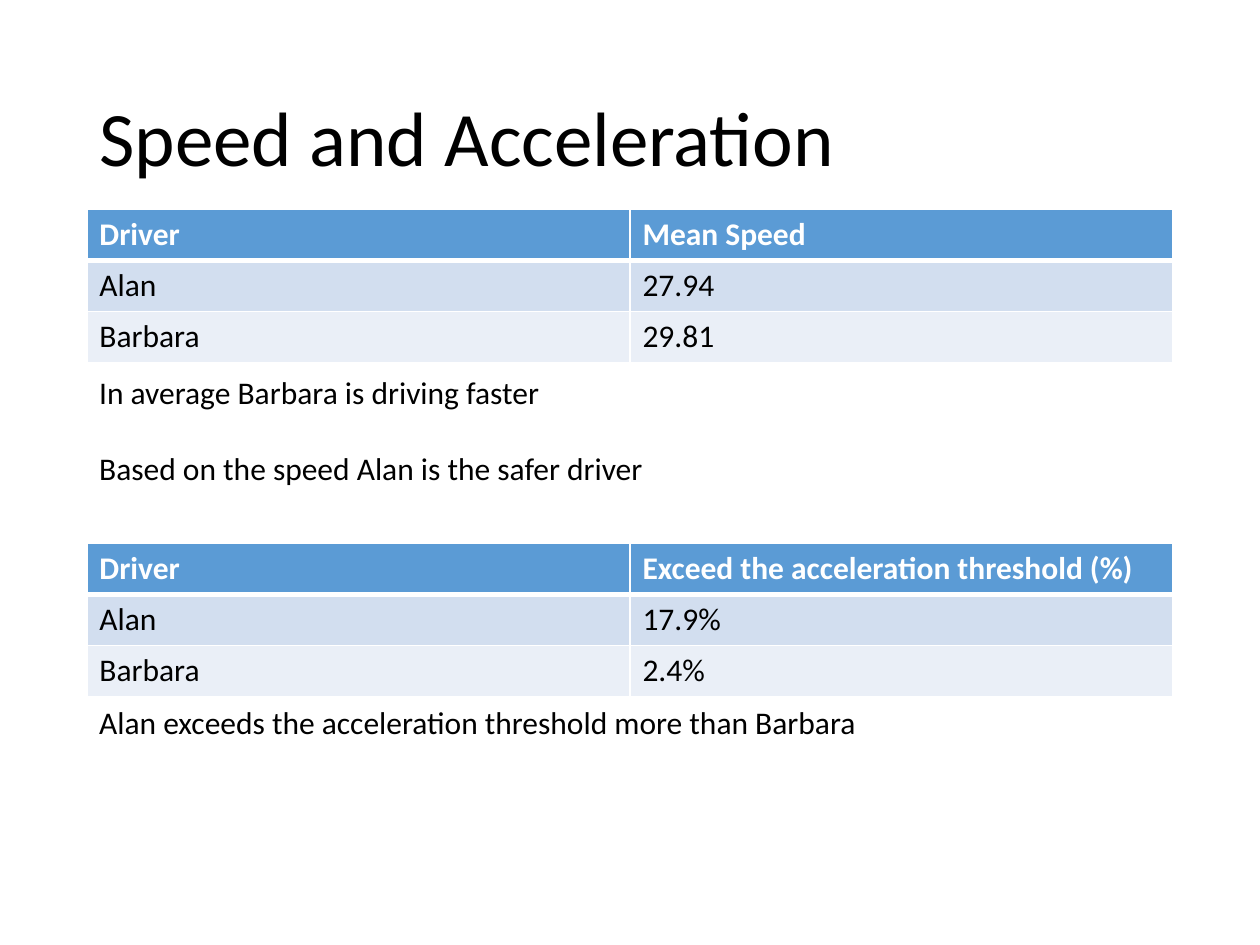
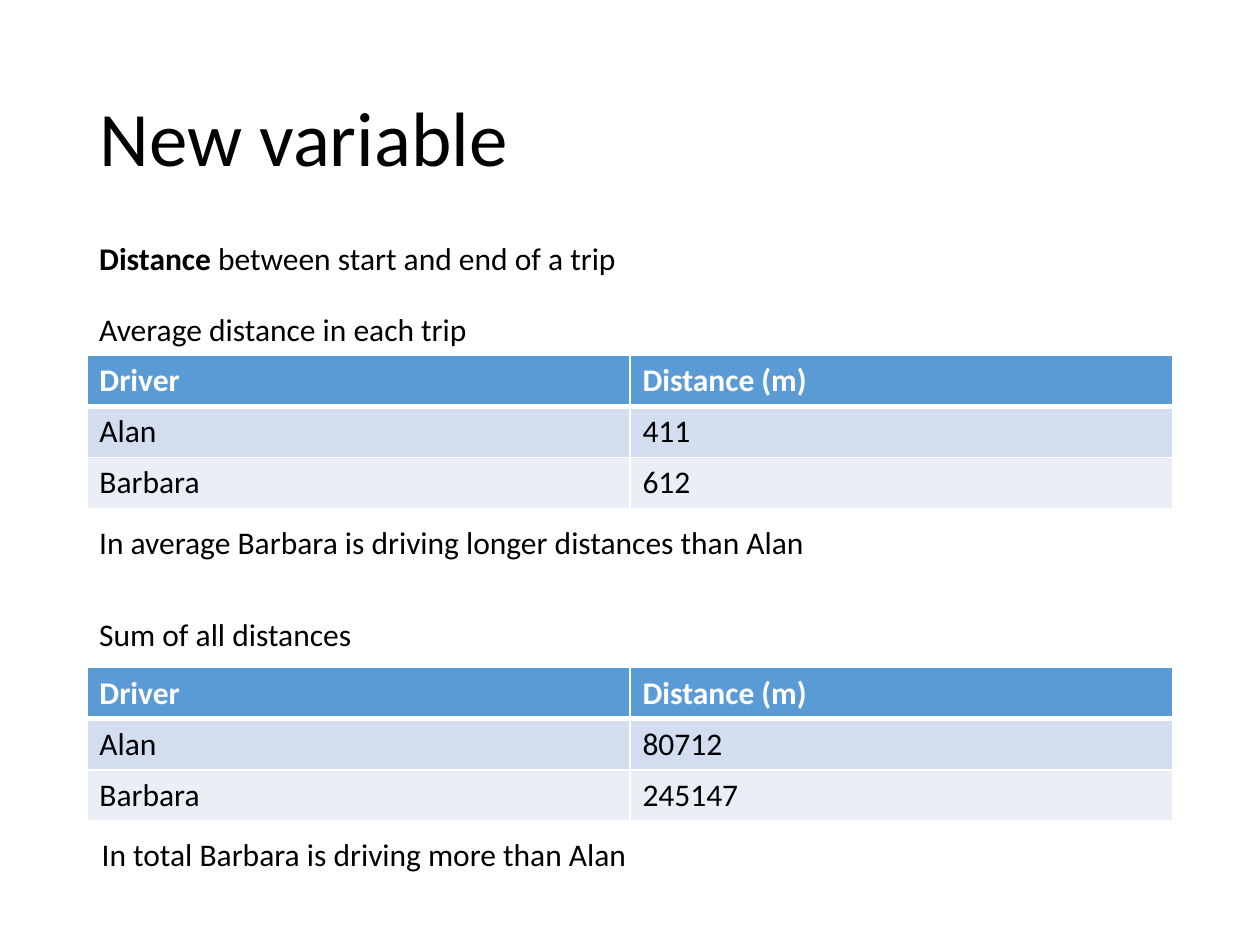
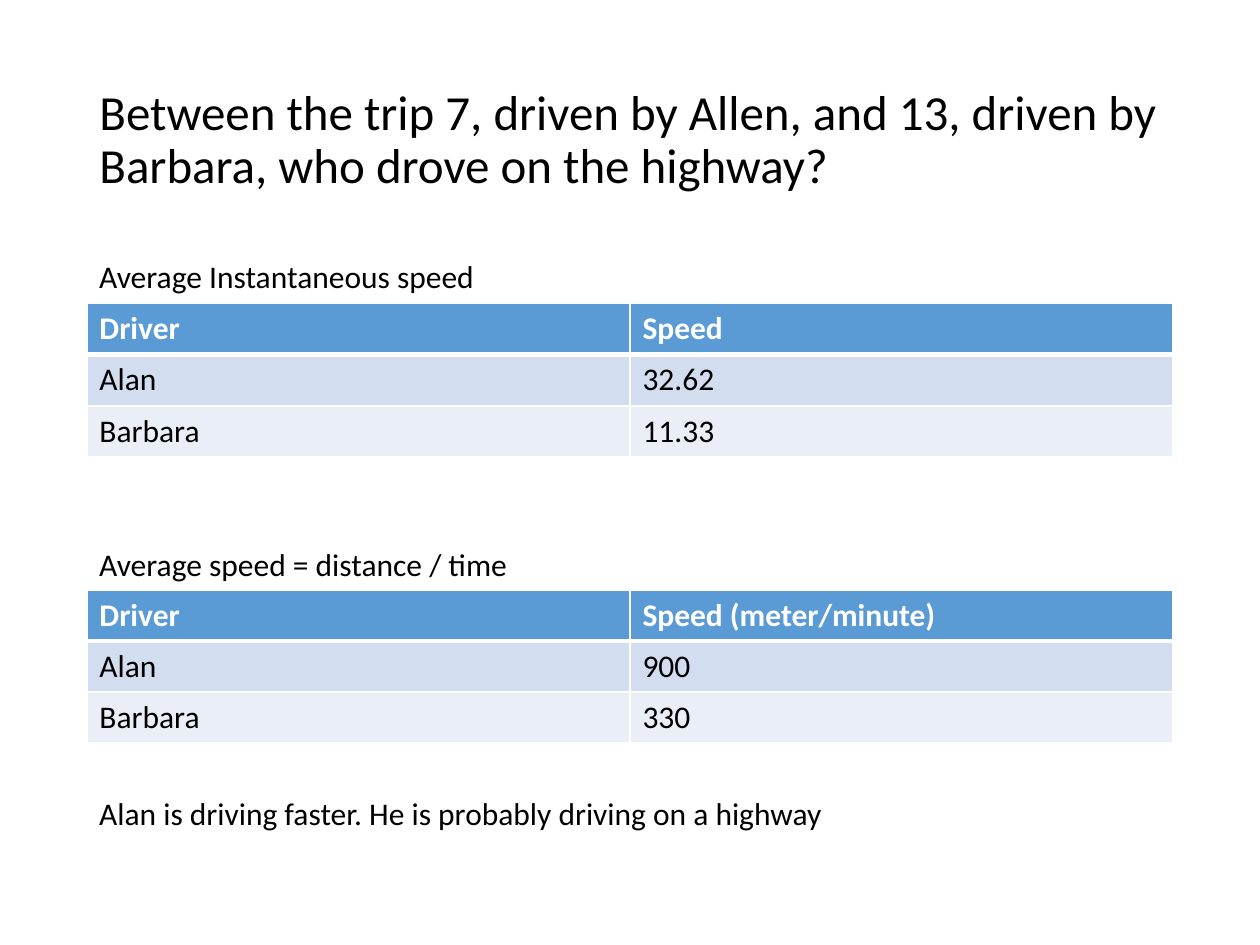
from lxml.etree import SubElement
from pptx import Presentation
from pptx.dml.color import RGBColor
from pptx.enum.text import MSO_ANCHOR as Anchor, MSO_AUTO_SIZE as AutoSize, PP_ALIGN as Align
from pptx.oxml.ns import qn
from pptx.util import Cm, Pt

COLORS = {
    "text": "000000",
    "white": "FFFFFF",
    "header": "5B9BD5",
    "odd_row": "D2DEEF",
    "even_row": "EAEFF7",
}
TITLE_ONLY = 5


class Deck:
    """Holds the shared style and the current slide."""

    font = "Calibri"
    body_size = 18
    left, width = 1.75, 21.9
    row_height = 1.03

    def __init__(self):
        self.presentation = Presentation()
        self.presentation.slide_width = Cm(25.4)
        self.presentation.slide_height = Cm(19.05)
        self.slide = None

    def add_run(self, paragraph, text, size=body_size, color="text", bold=False):
        run = paragraph.add_run()
        run.text = text
        run.font.name = self.font
        run.font.size = Pt(size)
        run.font.bold = bold
        run.font.color.rgb = RGBColor.from_string(COLORS[color])

    def add_slide(self, title, size=44):
        layout = self.presentation.slide_layouts[TITLE_ONLY]
        self.slide = self.presentation.slides.add_slide(layout)
        shape = self.slide.shapes.title
        shape.left, shape.top = Cm(self.left), Cm(1.01)
        shape.width, shape.height = Cm(self.width), Cm(3.68)
        frame = shape.text_frame
        frame.word_wrap = True
        frame.auto_size = AutoSize.NONE
        frame.vertical_anchor = Anchor.MIDDLE
        paragraph = frame.paragraphs[0]
        paragraph.alignment = Align.LEFT
        paragraph.line_spacing = 0.9
        self.add_run(paragraph, title, size)

    def add_note(self, top, width, text, lead="", left=left, wrap=False):
        """One line of body text, with an optional bold lead."""
        shape = self.slide.shapes.add_textbox(Cm(left), Cm(top), Cm(width), Cm(1.03))
        frame = shape.text_frame
        frame.word_wrap = wrap
        frame.auto_size = AutoSize.SHAPE_TO_FIT_TEXT
        paragraph = frame.paragraphs[0]
        if lead:
            self.add_run(paragraph, lead, bold=True)
        self.add_run(paragraph, text)

    def add_border(self, cell, side, points):
        line = SubElement(cell._tc.get_or_add_tcPr(), qn(f"a:ln{side}"), w=str(Pt(points)))
        fill = SubElement(line, qn("a:solidFill"))
        SubElement(fill, qn("a:srgbClr"), val=COLORS["white"])

    def add_driver_table(self, top, measure, alan, barbara):
        rows = [("Driver", measure), ("Alan", alan), ("Barbara", barbara)]
        fills = ["header", "odd_row", "even_row"]
        table = self.slide.shapes.add_table(
            len(rows), 2, Cm(self.left), Cm(top),
            Cm(self.width), Cm(self.row_height * len(rows))).table
        for row_index, (texts, fill) in enumerate(zip(rows, fills)):
            is_header = row_index == 0
            for column_index, text in enumerate(texts):
                cell = table.cell(row_index, column_index)
                borders = {"L": 1, "R": 1, "T": 3 if row_index == 1 else 1,
                           "B": 3 if is_header else 1}
                for side, points in borders.items():
                    self.add_border(cell, side, points)
                cell.fill.solid()
                cell.fill.fore_color.rgb = RGBColor.from_string(COLORS[fill])
                self.add_run(cell.text_frame.paragraphs[0], text,
                             color="white" if is_header else "text", bold=is_header)

    def save(self):
        self.presentation.save("out.pptx")


def main():
    deck = Deck()

    # Speed and acceleration
    deck.add_slide("Speed and Acceleration")
    deck.add_driver_table(4.22, "Mean Speed", "27.94", "29.81")
    deck.add_note(7.39, 9.47, "In average Barbara is driving faster")
    deck.add_note(8.92, 11.61, "Based on the speed Alan is the safer driver")
    deck.add_driver_table(10.95, "Exceed the acceleration threshold (%)", "17.9%", "2.4%")
    deck.add_note(14.05, 18.62, "Alan exceeds the acceleration threshold more than Barbara",
                  wrap=True)

    # Distance per trip and in total
    deck.add_slide("New variable")
    deck.add_note(4.7, 10.95, " between start and end of a trip", lead="Distance")
    deck.add_note(6.12, 8, "Average distance in each trip")
    deck.add_driver_table(7.16, "Distance (m)", "411", "612")
    deck.add_note(10.41, 15.67, "In average Barbara is driving longer distances than Alan",
                  wrap=True)
    deck.add_note(12.27, 5.66, "Sum of all distances")
    deck.add_driver_table(13.46, "Distance (m)", "80712", "245147")
    deck.add_note(16.71, 11.2, "In total Barbara is driving more than Alan", left=1.8)

    # Highway question
    deck.add_slide("Between the trip 7, driven by Allen, and 13, driven by Barbara, "
                   "who drove on the highway?", size=28)
    deck.add_note(5.05, 8.15, "Average Instantaneous speed")
    deck.add_driver_table(6.12, "Speed", "32.62", "11.33")
    deck.add_note(10.87, 8.84, "Average speed = distance / time")
    deck.add_driver_table(11.89, "Speed (meter/minute)", "900", "330")
    deck.add_note(15.88, 15.8, "Alan is driving faster. He is probably driving on a highway",
                  wrap=True)

    deck.save()


if __name__ == "__main__":
    main()
